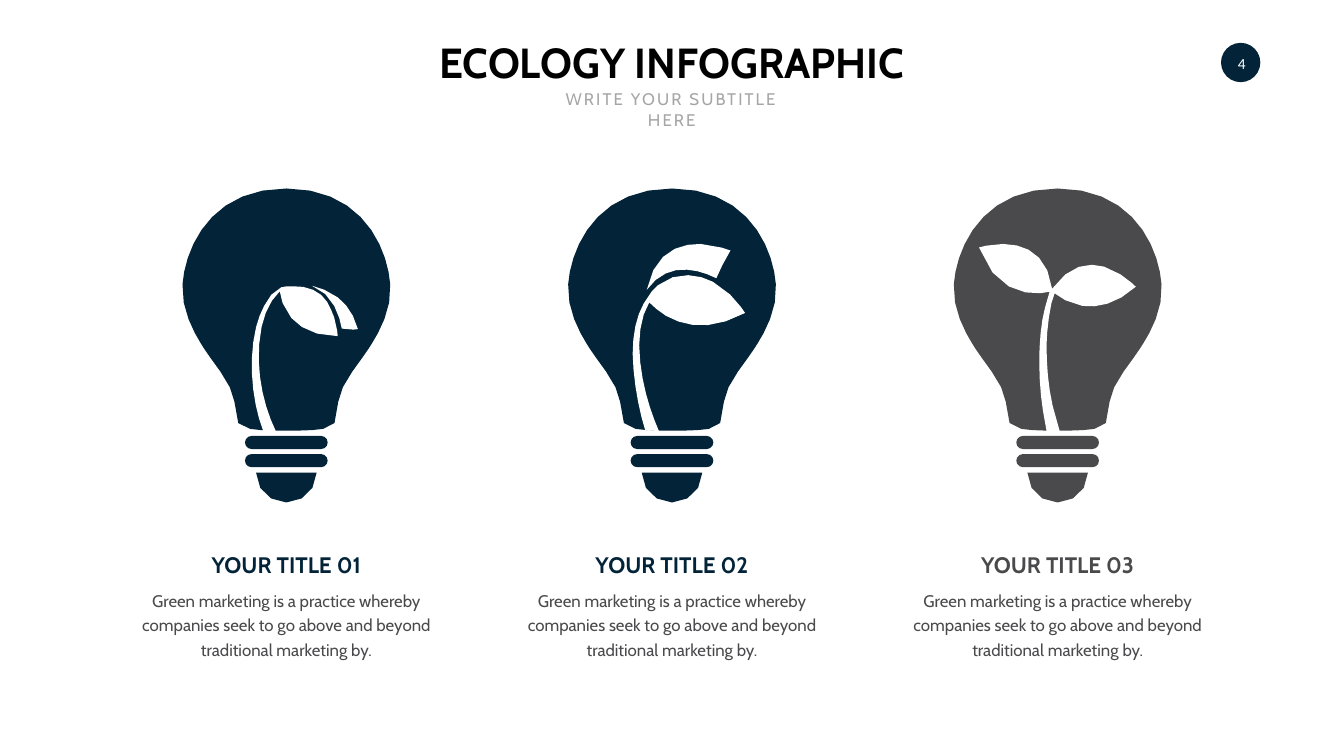
from math import ceil, dist

from pptx import Presentation
from pptx.dml.color import RGBColor
from pptx.enum import shapes as kinds, text as modes
from pptx.util import Inches, Pt

COLORS = {"navy": "022338", "gray": "4A4A4C", "pale": "A6A6A6", "black": "000000", "white": "FFFFFF"}
FONT = "Cabin"
BODY = "Green marketing is a practice whereby companies seek to go above and beyond traditional marketing by."

BULB = ["""M 2.06 0 C .53 0 .05 1.21 0 1.9 C -.04 2.52 .38 3.09 .43 3.18
C .51 3.33 1.01 3.89 1.03 4.23 C 1.05 4.7 1.11 4.71 1.34 4.77
C 1.57 4.82 2.55 4.82 2.79 4.77 C 3.01 4.71 3.07 4.7 3.09 4.23
C 3.11 3.89 3.61 3.33 3.69 3.18 C 3.74 3.09 4.17 2.52 4.12 1.9
C 4.07 1.21 3.59 0 2.06 0""",
        "M 1.46 5.64 C 1.46 5.97 1.73 6.23 2.06 6.23 C 2.39 6.23 2.66 5.97 2.66 5.64"]
SPROUT = ["""M 2.57 1.93 C 2.78 2.01 2.92 2.16 3.01 2.33 C 3.1 2.49 3.14 2.67 3.16 2.78
C 3.25 2.8 3.33 2.8 3.39 2.8 L 3.48 2.79
C 3.4 2.49 3.25 2.29 3.08 2.16 C 2.9 2.03 2.71 1.96 2.57 1.93""",
          """M 2.19 1.94 L 2.07 1.94 L 1.96 1.96
C 1.88 1.99 1.82 2.05 1.76 2.11 C 1.71 2.18 1.66 2.25 1.62 2.33
C 1.55 2.45 1.5 2.6 1.46 2.75 C 1.29 3.44 1.39 4.26 1.6 4.81 L 1.85 4.81
C 1.61 4.32 1.41 3.54 1.57 2.74 C 1.63 2.46 1.76 2.19 1.93 2.04
C 1.94 2.15 1.99 2.37 2.16 2.57 C 2.33 2.76 2.61 2.93 3.08 2.93
C 3.08 2.9 3.07 2.78 3.01 2.56 L 2.95 2.41 L 2.87 2.25 L 2.75 2.11
C 2.7 2.07 2.65 2.03 2.59 2.01 C 2.47 1.95 2.33 1.94 2.19 1.94"""]
SHOOT = ["""M 2.63 1.1 C 2.21 1.09 1.71 1.25 1.56 2.01 C 1.72 1.78 1.93 1.66 2.14 1.62
C 2.29 1.6 2.43 1.61 2.56 1.64 C 2.69 1.67 2.82 1.72 2.94 1.78
L 3.06 1.52 L 3.22 1.23 C 3.22 1.23 2.95 1.12 2.63 1.1""",
         """M 2.38 1.72 C 2.18 1.72 1.97 1.76 1.78 1.92 C 1.71 1.98 1.62 2.07 1.5 2.28
C 1.35 2.54 1.28 2.89 1.28 3.28 C 1.29 3.8 1.4 4.39 1.53 4.8 L 1.8 4.81
C 1.63 4.42 1.42 3.8 1.41 3.11 C 1.41 2.79 1.48 2.46 1.61 2.26
C 1.72 2.37 1.91 2.55 2.19 2.64 C 2.53 2.76 2.97 2.76 3.51 2.47
C 3.5 2.46 3.27 2.06 2.87 1.85 C 2.73 1.77 2.56 1.73 2.38 1.72"""]
PLANT = ["""M .98 1.1 C .71 1.1 .5 1.17 .5 1.17 C .87 2.21 1.69 2.1 1.9 2.05
C 1.86 2.15 1.83 2.25 1.81 2.36 C 1.67 2.87 1.66 3.74 1.77 4.42
L 1.84 4.81 L 2.1 4.81 L 1.96 4.31
C 1.87 3.91 1.84 3.51 1.84 3.1 C 1.84 2.86 1.91 2.24 2 2.08
C 2.09 2.15 2.29 2.29 2.55 2.33 C 2.85 2.37 3.22 2.3 3.61 1.95
C 3.61 1.95 3.34 1.66 2.98 1.55 C 2.67 1.46 2.29 1.51 1.95 1.99
C 1.88 1.42 1.56 1.2 1.25 1.13 C 1.16 1.11 1.06 1.1 .98 1.1"""]

CARDS = [("YOUR TITLE 01", SPROUT, "navy"), ("YOUR TITLE 02", SHOOT, "navy"), ("YOUR TITLE 03", PLANT, "gray")]


def color(name):
    return RGBColor.from_string(COLORS[name])


def paint(shape, name):
    shape.shadow.inherit = False
    shape.fill.solid()
    shape.fill.fore_color.rgb = color(name)
    shape.line.fill.background()


def trace(curve):
    marks = curve.split()
    points, i = [], 0
    while i < len(marks):
        count = 6 if marks[i] == "C" else 2
        nums = [float(n) for n in marks[i + 1:i + 1 + count]]
        ends = list(zip(nums[::2], nums[1::2]))
        if count == 6:
            knots = [points[-1], *ends]
            steps = ceil(3 * dist(knots[0], knots[3]))
            for step in range(1, steps + 1):
                t = step / steps
                parts = ((1 - t) ** 3, 3 * t * (1 - t) ** 2, 3 * t * t * (1 - t), t ** 3)
                points.append(tuple(sum(p * k[axis] for p, k in zip(parts, knots)) for axis in (0, 1)))
        else:
            points += ends
        i += count + 1
    return points


def draw(group, curves, left, top, name):
    maker = None
    for curve in curves:
        points = [(Inches(left + x), Inches(top + y)) for x, y in trace(curve)]
        if maker is None:
            maker = group.shapes.build_freeform(*points[0], scale=1.0)
        else:
            maker.move_to(*points[0])
        maker.add_line_segments(points[1:], close=True)
    paint(maker.convert_to_shape(), name)


def lamp(slide, left, top, plant, name):
    group = slide.shapes.add_group_shape()
    draw(group, BULB, left, top, name)
    for drop in (4.91, 5.27):
        box = (left + 1.24, top + drop, 1.64, 0.26)
        ring = group.shapes.add_shape(kinds.MSO_SHAPE.ROUNDED_RECTANGLE, *map(Inches, box))
        ring.adjustments[0] = 0.5
        paint(ring, name)
    draw(group, plant, left, top, "white")


def write(slide, words, box, size, name, bold=False, wrap=False, font=FONT, middle=False):
    frame = slide.shapes.add_textbox(*map(Inches, box)).text_frame
    frame.word_wrap = wrap
    frame.auto_size = modes.MSO_AUTO_SIZE.SHAPE_TO_FIT_TEXT
    frame.vertical_anchor = modes.MSO_ANCHOR.MIDDLE if middle else modes.MSO_ANCHOR.TOP
    line = frame.paragraphs[0]
    line.text = words
    line.alignment = modes.PP_ALIGN.CENTER
    line.font.size = Pt(size)
    line.font.name = font
    line.font.bold = bold
    line.font.color.rgb = color(name)
    return frame


def badge(slide, left, top, size):
    disc = slide.shapes.add_shape(kinds.MSO_SHAPE.OVAL, *map(Inches, (left, top, size, size)))
    paint(disc, "navy")
    frame = write(slide, "4", (left + 0.02, top + 0.02, size, size), 22, "white",
                  wrap=True, font="Calibri", middle=True)
    frame.margin_left = frame.margin_right = Inches(0.05)


def header(slide, left, top, width):
    write(slide, "ECOLOGY INFOGRAPHIC", (left, top, width, 1.11), 60, "black", bold=True)
    inset = 2.41
    frame = write(slide, "WRITE YOUR SUBTITLE HERE",
                  (left + inset, top + 1.05, width - 2 * inset, 0.5), 24, "pale")
    frame.paragraphs[0].runs[0]._r.get_or_add_rPr().set("spc", "300")


def card(slide, left, top, width, title, plant, name):
    lamp(slide, left + (width - 4.12) / 2, top, plant, name)
    wide = 3.3
    write(slide, title, (left + (width - wide) / 2, top + 7.14, wide, 0.64), 32, name, bold=True, middle=True)
    frame = write(slide, BODY, (left, top + 7.84, width, 1.52), 24, "gray", wrap=True)
    frame.paragraphs[0].line_spacing = Pt(35)


def main():
    deck = Presentation()
    deck.slide_width, deck.slide_height = Inches(26.66), Inches(15)
    slide = deck.slides.add_slide(deck.slide_layouts[6])
    badge(slide, 24.22, 0.85, 0.78)
    header(slide, 8.2, 0.67, 10.25)
    for i, (title, plant, name) in enumerate(CARDS):
        card(slide, 2.59 + 7.65 * i, 3.74, 6.18, title, plant, name)
    deck.save("out.pptx")


if __name__ == "__main__":
    main()
